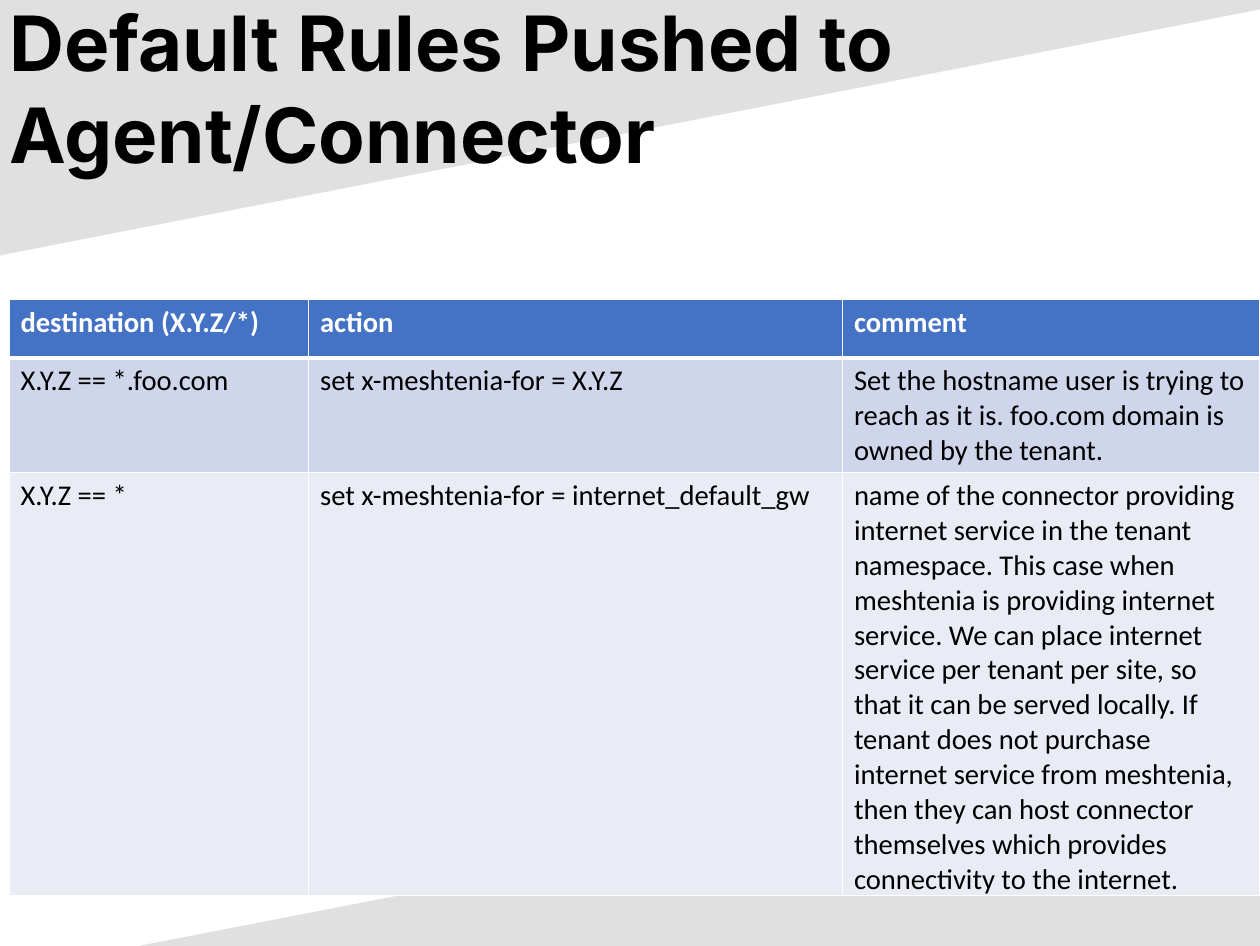
from lxml import etree
from pptx import Presentation, util as u
from pptx.dml.color import RGBColor
from pptx.enum import text
from pptx.oxml import ns

BLACK = RGBColor(0x00, 0x00, 0x00)
WHITE = RGBColor(0xFF, 0xFF, 0xFF)
GREY = RGBColor(0xE0, 0xE0, 0xE0)
BLUE = RGBColor(0x44, 0x72, 0xC4)
BAND_DARK = RGBColor(0xCF, 0xD5, 0xEA)
BAND_LIGHT = RGBColor(0xE9, 0xEB, 0xF5)

WIDTH, HEIGHT = u.Inches(11.02), u.Inches(8.27)
LEFT = u.Inches(0.08)
COLUMNS = (2.62, 4.67, 3.65)
ROWS = (0.51, 1.0, 3.7)
ROW_FILLS = (BLUE, BAND_DARK, BAND_LIGHT)

BOTTOM_WEDGE = ((0.11, 1), (1, 1), (1, 0.77))
TOP_WEDGE = ((0, 0.27), (0, 0), (1, 0), (1, 0.01))

TITLE_FONT = {"name": "Inter", "size": u.Pt(48), "bold": True}
HEADER_FONT = {"name": "Calibri", "size": u.Pt(18), "bold": True}
BODY_FONT = {**HEADER_FONT, "bold": False}

RULES = (
    ("destination (X.Y.Z/*)", "action", "comment"),
    (
        "X.Y.Z == *.foo.com",
        "set x-meshtenia-for = X.Y.Z",
        "Set the hostname user is trying to reach as it is. "
        "foo.com domain is owned by the tenant.",
    ),
    (
        "X.Y.Z == *",
        "set x-meshtenia-for = internet_default_gw",
        "name of the connector providing internet service in the tenant "
        "namespace. This case when meshtenia is providing internet service. "
        "We can place internet service per tenant per site, so that it can be "
        "served locally. If tenant does not purchase internet service from "
        "meshtenia, then they can host connector themselves which provides "
        "connectivity to the internet.",
    ),
)


def set_all(target, values):
    for name, value in values.items():
        setattr(target, name, value)


def write(frame, words, font, color):
    span = frame.paragraphs[0].add_run()
    span.text = words
    set_all(span.font, font)
    span.font.color.rgb = color


def add_wedge(page, corners):
    points = [(round(x * WIDTH), round(y * HEIGHT)) for x, y in corners]
    builder = page.shapes.build_freeform(*points[0])
    builder.add_line_segments(points[1:], close=True)
    wedge = builder.convert_to_shape()
    wedge.shadow.inherit = False
    wedge.fill.solid()
    wedge.fill.fore_color.rgb = GREY
    wedge.line.fill.background()


def add_title(page, words):
    box = page.shapes.add_textbox(LEFT, u.Inches(-0.05), round(WIDTH * 0.9), u.Inches(1.62))
    frame = box.text_frame
    margins = dict.fromkeys(("margin_left", "margin_top", "margin_right", "margin_bottom"), 0)
    set_all(frame, {**margins, "word_wrap": True, "vertical_anchor": text.MSO_ANCHOR.MIDDLE})
    write(frame, words, TITLE_FONT, BLACK)


def add_borders(cell, widths):
    properties = cell._tc.get_or_add_tcPr()
    for side, width in widths.items():
        line = etree.SubElement(properties, ns.qn(f"a:ln{side}"), w=str(u.Pt(width)))
        fill = etree.SubElement(line, ns.qn("a:solidFill"))
        etree.SubElement(fill, ns.qn("a:srgbClr"), val=str(WHITE))


def add_rules_table(page):
    table = page.shapes.add_table(
        len(ROWS), len(COLUMNS), LEFT, u.Inches(2.62),
        u.Inches(sum(COLUMNS)), u.Inches(sum(ROWS)),
    ).table
    for column, width in zip(table.columns, COLUMNS):
        column.width = u.Inches(width)
    for index, (row, height) in enumerate(zip(table.rows, ROWS)):
        row.height = u.Inches(height)
        header = index == 0
        font, color = (HEADER_FONT, WHITE) if header else (BODY_FONT, BLACK)
        widths = {"L": 1, "R": 1, "T": 3 if index == 1 else 1, "B": 3 if header else 1}
        for cell, words in zip(row.cells, RULES[index]):
            add_borders(cell, widths)
            cell.fill.solid()
            cell.fill.fore_color.rgb = ROW_FILLS[index]
            write(cell.text_frame, words, font, color)


def main():
    deck = Presentation()
    set_all(deck, {"slide_width": WIDTH, "slide_height": HEIGHT})
    page = deck.slides.add_slide(deck.slide_layouts[6])
    for corners in (BOTTOM_WEDGE, TOP_WEDGE):
        add_wedge(page, corners)
    add_title(page, "Default Rules Pushed to Agent/Connector")
    add_rules_table(page)
    deck.save("out.pptx")


main()
